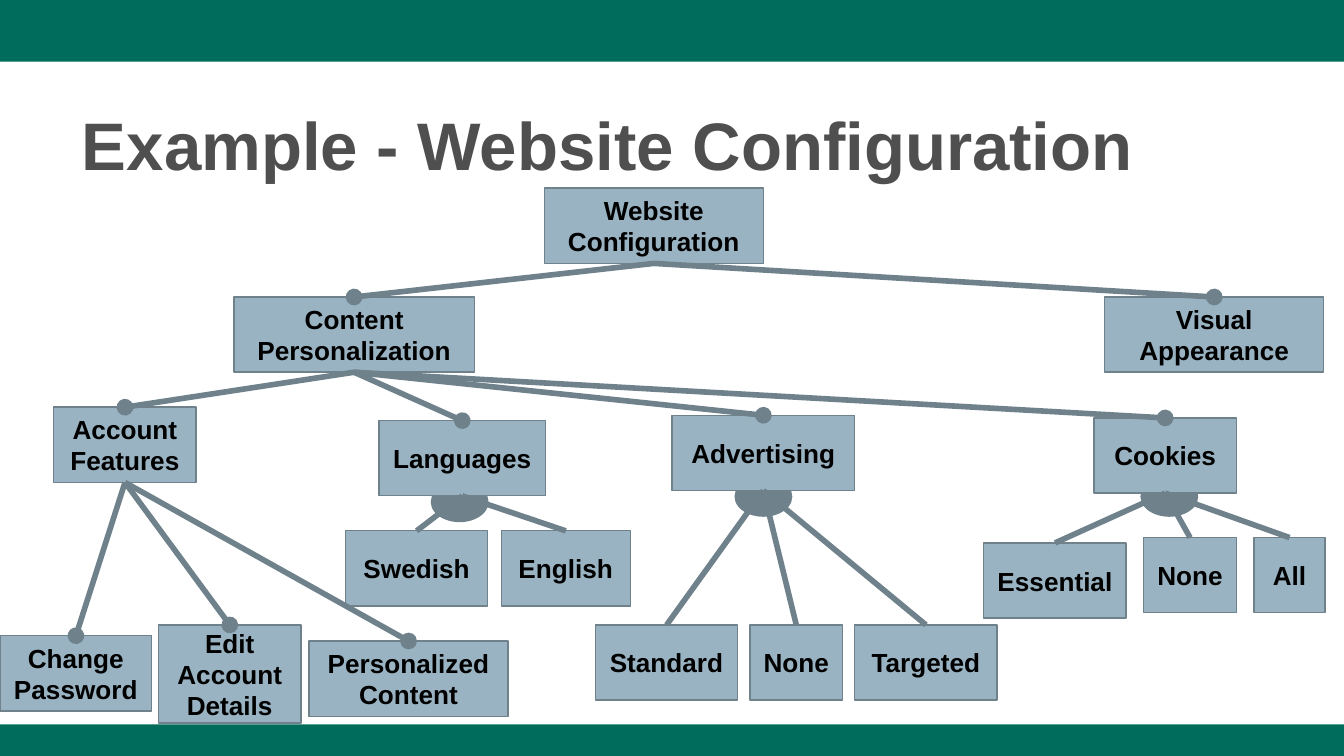
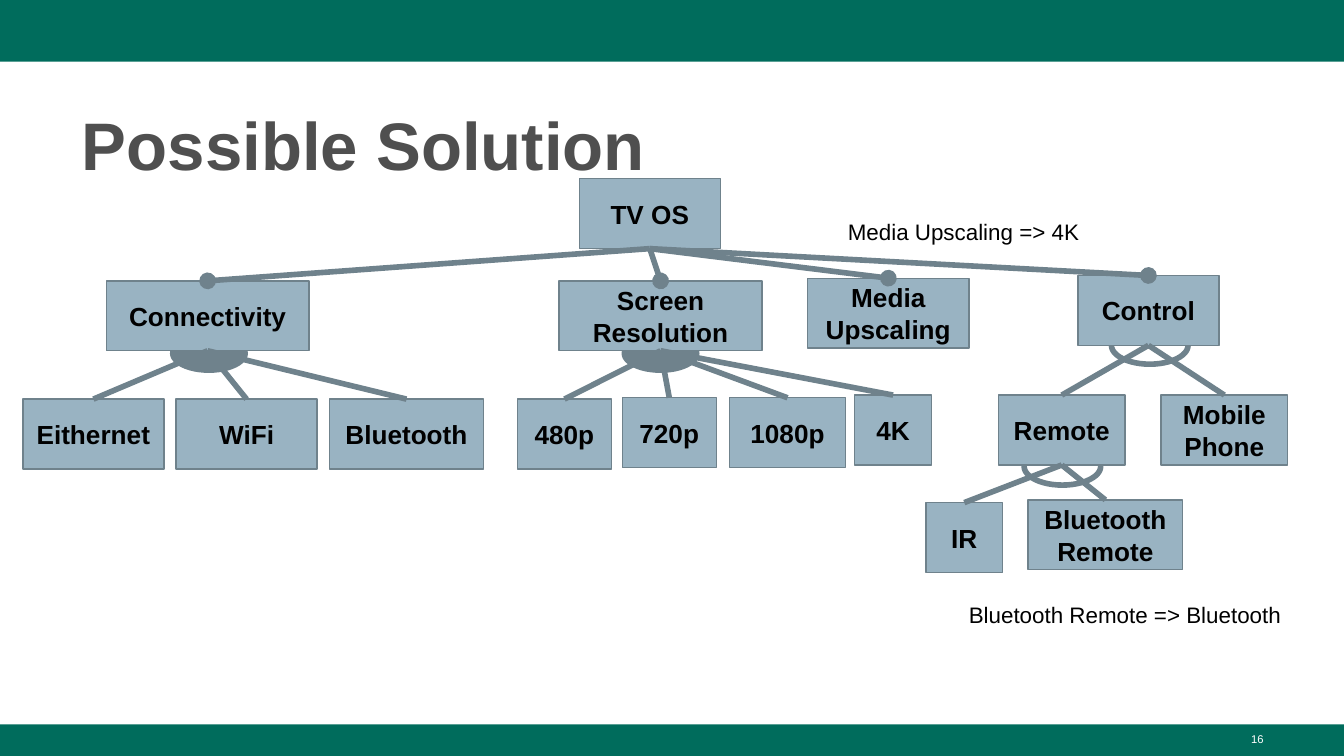
import lxml.etree
import pptx
import pptx.dml.color
import pptx.enum.shapes
import pptx.enum.text
import pptx.oxml.ns
import pptx.util

Inches = pptx.util.Inches
ALIGN = pptx.enum.text.PP_ALIGN
ANCHOR = pptx.enum.text.MSO_ANCHOR
SHAPE = pptx.enum.shapes.MSO_SHAPE
qn = pptx.oxml.ns.qn

# 16:9 page
SLIDE_WIDTH = 10
SLIDE_HEIGHT = SLIDE_WIDTH * 9 / 16
FOOTER_TOP = 5.39

COLORS = {
    "band": "006C5C",
    "title": "4F4F4F",
    "box": "99B3C2",
    "line": "6F828C",
    "text": "000000",
    "number": "FFFFFF",
}

# Each branch: parent, whether its links end in a dot, and its children
# as text, left, top, width and, where it differs, height.
# Each group mark: left, top, filled.
SLIDES = [
    {
        "title": "Example - Website Configuration",
        "box_height": 0.56,
        "mark_size": (0.42, 0.29),
        "marks": [(3.21, 3.59, True), (5.47, 3.55, True), (8.49, 3.55, True)],
        "branches": [
            (None, False, [("Website Configuration", 4.05, 1.4, 1.63)]),
            ("Website Configuration", True, [
                ("Content Personalization", 1.74, 2.21, 1.79),
                ("Visual Appearance", 8.22, 2.21, 1.63),
            ]),
            ("Content Personalization", True, [
                ("Account Features", 0.4, 3.03, 1.06),
                ("Languages", 2.82, 3.13, 1.24),
                ("Advertising", 5, 3.09, 1.36),
                ("Cookies", 8.14, 3.11, 1.06),
            ]),
            ("Account Features", True, [
                ("Change Password", 0, 4.73, 1.13),
                ("Edit Account Details", 1.18, 4.65, 1.06, 0.73),
                ("Personalized Content", 2.3, 4.77, 1.48),
            ]),
            ("Languages", False, [
                ("Swedish", 2.57, 3.95, 1.06),
                ("English", 3.73, 3.95, 0.96),
            ]),
            ("Advertising", False, [
                ("Standard", 4.43, 4.65, 1.06),
                ("None", 5.58, 4.65, 0.69),
                ("Targeted", 6.36, 4.65, 1.06),
            ]),
            ("Cookies", False, [
                ("Essential", 7.32, 4.04, 1.06),
                ("None", 8.51, 4, 0.69),
                ("All", 9.33, 4, 0.53),
            ]),
        ],
        "constraints": [],
        "number": None,
    },
    {
        "title": "Possible Solution",
        "box_height": 0.52,
        "mark_size": (0.57, 0.28),
        "marks": [(1.27, 2.49, True), (4.63, 2.49, True),
                  (8.27, 2.43, False), (7.62, 3.33, False)],
        "branches": [
            (None, False, [("TV OS", 4.31, 1.33, 1.05)]),
            ("TV OS", True, [
                ("Connectivity", 0.79, 2.09, 1.51),
                ("Screen Resolution", 4.16, 2.09, 1.51),
                ("Media Upscaling", 6.01, 2.07, 1.2),
                ("Control", 8.02, 2.05, 1.05),
            ]),
            ("Connectivity", False, [
                ("Eithernet", 0.17, 2.97, 1.05),
                ("WiFi", 1.31, 2.97, 1.05),
                ("Bluetooth", 2.45, 2.97, 1.15),
            ]),
            ("Screen Resolution", False, [
                ("480p", 3.85, 2.97, 0.7),
                ("720p", 4.63, 2.96, 0.7),
                ("1080p", 5.43, 2.96, 0.86),
                ("4K", 6.36, 2.94, 0.57),
            ]),
            ("Control", False, [
                ("Remote", 7.43, 2.94, 0.94),
                ("Mobile Phone", 8.64, 2.94, 0.94),
            ]),
            ("Remote", False, [
                ("IR", 6.89, 3.74, 0.57),
                ("Bluetooth Remote", 7.65, 3.72, 1.15),
            ]),
        ],
        "constraints": [("Media Upscaling => 4K", 6.21, 1.52, 1.95),
                        ("Bluetooth Remote => Bluetooth", 7.11, 4.37, 2.58)],
        "number": "16",
    },
]


def write_text(shape, text, size, color, bold=False, align=ALIGN.LEFT,
               anchor=ANCHOR.TOP, inset=0.1):
    frame = shape.text_frame
    frame.text = text
    frame.word_wrap = True
    frame.auto_size = pptx.enum.text.MSO_AUTO_SIZE.NONE
    frame.vertical_anchor = anchor
    frame.margin_left = frame.margin_right = Inches(0.1)
    frame.margin_top = frame.margin_bottom = Inches(inset)
    paragraph = frame.paragraphs[0]
    paragraph.alignment = align
    font = paragraph.runs[0].font
    font.name = "Arial"
    font.size = pptx.util.Pt(size)
    font.bold = bold
    font.color.rgb = pptx.dml.color.RGBColor.from_string(COLORS[color])
    return paragraph


def add_filled(slide, kind, left, top, width, height, fill, line=None, line_width=0.75):
    shape = slide.shapes.add_shape(
        kind, Inches(left), Inches(top), Inches(width), Inches(height))
    shape.shadow.inherit = False
    if fill:
        shape.fill.solid()
        shape.fill.fore_color.rgb = pptx.dml.color.RGBColor.from_string(COLORS[fill])
    else:
        shape.fill.background()
    if line:
        shape.line.color.rgb = pptx.dml.color.RGBColor.from_string(COLORS[line])
        shape.line.width = pptx.util.Pt(line_width)
    else:
        shape.line.fill.background()
    return shape


presentation = pptx.Presentation()
presentation.slide_width = Inches(SLIDE_WIDTH)
presentation.slide_height = Inches(SLIDE_HEIGHT)
layout = presentation.slide_layouts[5]

for content in SLIDES:
    slide = presentation.slides.add_slide(layout)

    # Bands, made once and moved to the shared layout
    if content is SLIDES[0]:
        for top, height in [(0, 0.46), (FOOTER_TOP, SLIDE_HEIGHT - FOOTER_TOP)]:
            band = add_filled(slide, SHAPE.RECTANGLE, 0, top, SLIDE_WIDTH, height, "band")
            layout.shapes.element.insert(2, band.element)

    # Title
    title = slide.shapes.title
    title.left, title.top = Inches(0.51), Inches(0.67)
    title.width, title.height = Inches(8.99), Inches(0.73)
    paragraph = write_text(title, content["title"], 36, "title", bold=True, inset=0.05)
    paragraph.line_spacing = 1.08

    # Group marks behind the boxes
    for left, top, filled in content["marks"]:
        add_filled(slide, SHAPE.OVAL, left, top, *content["mark_size"],
                   "line" if filled else None, "line", 0.75 if filled else 3)

    # Feature boxes
    boxes = {}
    links = []
    for parent, dotted, children in content["branches"]:
        for text, left, top, width, *own_height in children:
            height = own_height[0] if own_height else content["box_height"]
            box = add_filled(slide, SHAPE.RECTANGLE, left, top, width, height,
                             "box", "line")
            write_text(box, text, 14, "text", bold=True,
                       align=ALIGN.CENTER, anchor=ANCHOR.MIDDLE)
            boxes[text] = box
            if parent:
                links.append((boxes[parent], box, dotted))

    # Links from parent to child
    for parent_box, child_box, dotted in links:
        link = slide.shapes.add_connector(
            pptx.enum.shapes.MSO_CONNECTOR.STRAIGHT, 0, 0, 0, 0)
        link.begin_connect(parent_box, 2)
        link.end_connect(child_box, 0)
        link.line.color.rgb = pptx.dml.color.RGBColor.from_string(COLORS["line"])
        link.line.width = pptx.util.Pt(3)
        properties = link.element.spPr
        if dotted:
            lxml.etree.SubElement(
                properties.find(qn("a:ln")), qn("a:tailEnd"), type="oval")
        lxml.etree.SubElement(properties, qn("a:effectLst"))

    # Constraints between features
    for text, left, top, width in content["constraints"]:
        constraint = slide.shapes.add_textbox(
            Inches(left), Inches(top), Inches(width), Inches(0.4))
        write_text(constraint, text, 12, "text")

    # Slide number
    if content["number"]:
        number = slide.shapes.add_textbox(
            Inches(7.17), Inches(5.4), Inches(2.33), Inches(0.23))
        write_text(number, content["number"], 6, "number",
                   align=ALIGN.RIGHT, inset=0.05)

presentation.save("out.pptx")
